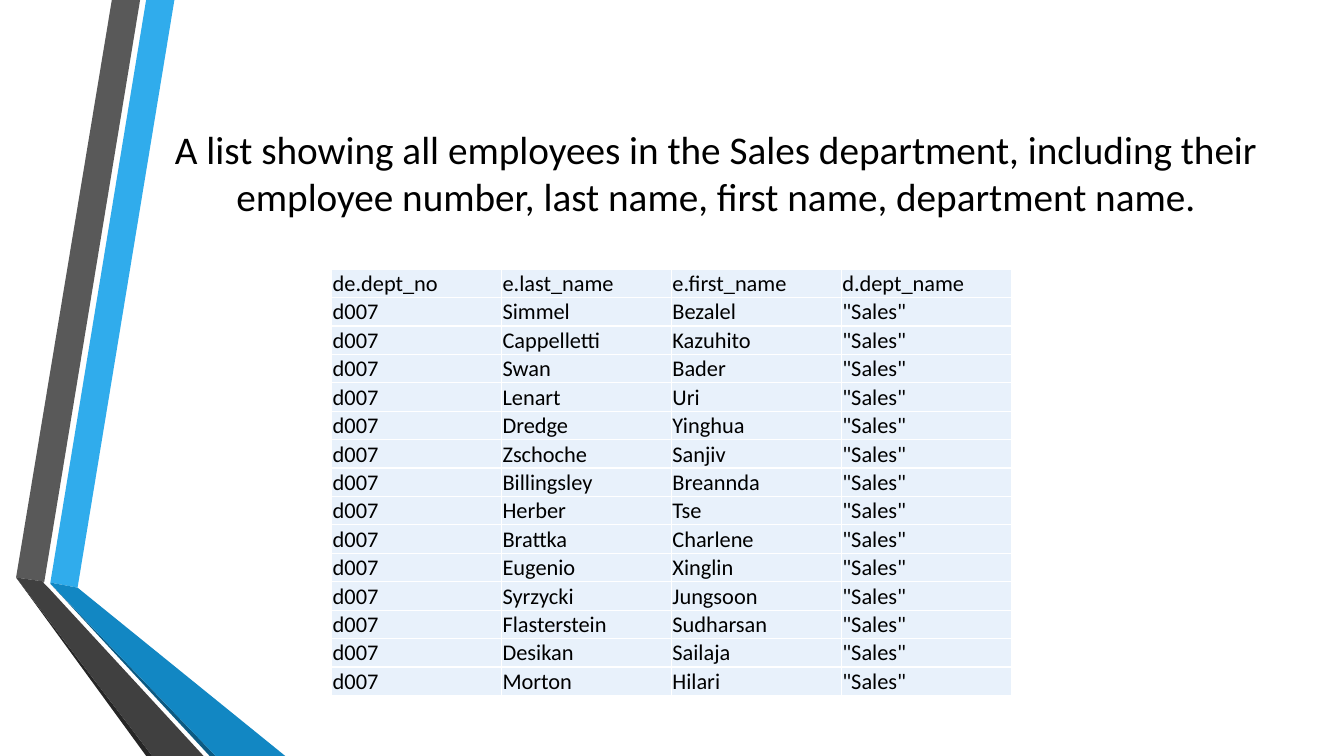
"""Build the slide that lists the employees of the Sales department."""
from lxml.etree import SubElement
from pptx import Presentation
from pptx.dml.color import RGBColor
from pptx.enum.text import MSO_ANCHOR, PP_ALIGN
from pptx.oxml.ns import qn
from pptx.util import Inches, Pt

TITLE = ("A list showing all employees in the Sales department, including their "
         "employee number, last name, first name, department name.")
HEAD = ("de.dept_no", "e.last_name", "e.first_name", "d.dept_name")
NAMES = [
    ("Simmel", "Bezalel"), ("Cappelletti", "Kazuhito"), ("Swan", "Bader"),
    ("Lenart", "Uri"), ("Dredge", "Yinghua"), ("Zschoche", "Sanjiv"),
    ("Billingsley", "Breannda"), ("Herber", "Tse"), ("Brattka", "Charlene"),
    ("Eugenio", "Xinglin"), ("Syrzycki", "Jungsoon"),
    ("Flasterstein", "Sudharsan"), ("Desikan", "Sailaja"), ("Morton", "Hilari"),
]
ROWS = [HEAD] + [("d007", last, first, '"Sales"') for last, first in NAMES]
BANDS = [
    ("30ACEC", [(0.5, 5.78), (0.77, 5.83), (1.73, 0), (1.45, 0)]),
    ("595959", [(1.39, 0), (1.11, 0), (0.16, 5.73), (0.44, 5.77)]),
    ("262626", [(0.16, 5.73), (1.45, 7.5), (1.51, 7.5)]),
    ("0C5A82", [(0.5, 5.79), (2.08, 7.5), (2.14, 7.5)]),
    ("1287C3", [(0.5, 5.79), (2.14, 7.5), (2.83, 7.5), (0.77, 5.83), (0.5, 5.78)]),
    ("404040", [(2.02, 7.5), (0.48, 5.83), (0.43, 5.78), (0.44, 5.77),
                (0.16, 5.73), (1.51, 7.5)]),
]
COL, ROW = 1.685, 0.28


def color(code):
    return RGBColor.from_string(code)


def paint(item, code):
    item.fill.solid()
    item.fill.fore_color.rgb = color(code)


def write(frame, text, size=16, align=PP_ALIGN.LEFT):
    frame.word_wrap = True
    para = frame.paragraphs[0]
    para.alignment = align
    run = para.add_run()
    run.text = text
    run.font.name, run.font.size = "Calibri", Pt(size)
    run.font.color.rgb = color("000000")


def border(cell, code):
    props = cell._tc.get_or_add_tcPr()
    for side in ("lnL", "lnR", "lnT", "lnB"):
        line = SubElement(props, qn(f"a:{side}"), w=str(Pt(1)))
        fill = SubElement(line, qn("a:solidFill"))
        SubElement(fill, qn("a:srgbClr"), val=code)


def draw_band(slide, code, points):
    start, *rest = [(Inches(x), Inches(y)) for x, y in points]
    pen = slide.shapes.build_freeform(*start)
    pen.add_line_segments(rest, close=True)
    band = pen.convert_to_shape()
    paint(band, code)
    band.line.fill.background()
    band.shadow.inherit = False


def add_title(slide):
    title = slide.shapes.title
    title.left, title.top = Inches(1.62), Inches(0.75)
    title.width, title.height = Inches(10.96), Inches(1.92)
    title.text_frame.vertical_anchor = MSO_ANCHOR.MIDDLE
    write(title.text_frame, TITLE, size=28, align=PP_ALIGN.CENTER)


def fill_cell(cell, text):
    cell.margin_left = cell.margin_right = cell.margin_top = Inches(0.01)
    cell.margin_bottom = 0
    cell.vertical_anchor = MSO_ANCHOR.BOTTOM
    border(cell, "FFFFFF")
    paint(cell, "E8F1FB")
    write(cell.text_frame, text)


def add_staff(slide):
    count, wide = len(ROWS), len(HEAD)
    table = slide.shapes.add_table(count, wide, Inches(3.29), Inches(2.67),
                                   Inches(COL * wide), Inches(ROW * count)).table
    table.first_row = table.horz_banding = False
    for r, row in enumerate(ROWS):
        for c, text in enumerate(row):
            fill_cell(table.cell(r, c), text)


def main():
    deck = Presentation()
    deck.slide_width, deck.slide_height = Inches(13.33), Inches(7.5)
    slide = deck.slides.add_slide(deck.slide_layouts[5])
    for code, points in BANDS:
        draw_band(slide, code, points)
    add_title(slide)
    add_staff(slide)
    deck.save("out.pptx")


if __name__ == "__main__":
    main()
